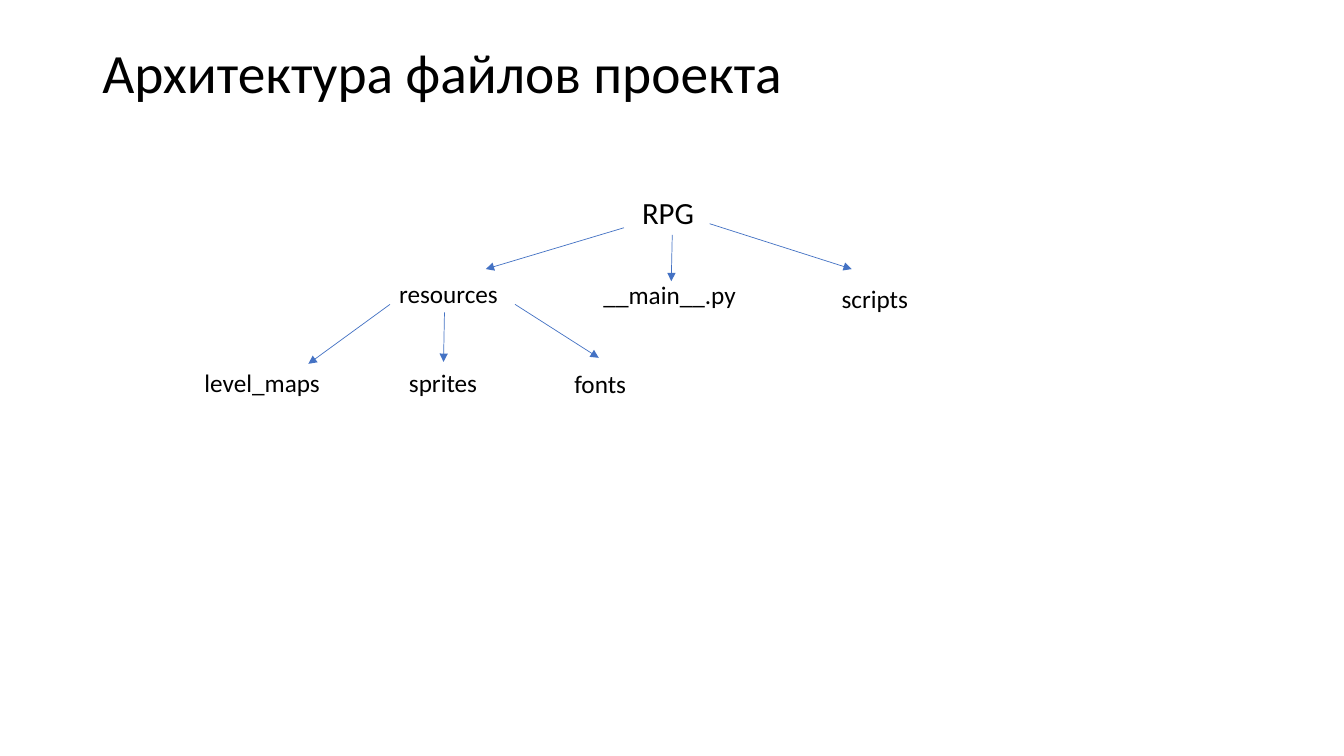
from lxml.etree import SubElement
from pptx import Presentation
from pptx.dml.color import RGBColor
from pptx.enum.shapes import MSO_CONNECTOR as Connector
from pptx.enum.text import MSO_ANCHOR as Anchor
from pptx.oxml.ns import qn
from pptx.util import Pt

FONT = "Calibri"
BLACK = "000000"
BLUE = "4472C4"

TITLE = ("Архитектура файлов проекта", 66, 28.8, 828, 96.5, 39.6)

ROOT = ("RPG", 451.5, 134.6, 57, 33.8, 22)
FILES = [
    ("resources", 278, 195, 88.6, 28.8),
    ("__main__.py", 424, 195.8, 111, 28.8),
    ("scripts", 594, 198.7, 63.4, 51),
    ("level_maps", 139, 258.5, 216, 51),
    ("sprites", 285, 258.5, 63.4, 28.8),
    ("fonts", 403.2, 259.2, 53.4, 28.8),
]
FILE_SIZE = 18

ARROWS = {
    "RPG": [
        (445.7, 162.7, 347, 192.2),
        (480.2, 167.8, 479.5, 200.9),
        (506.9, 159.8, 608.4, 192.2),
    ],
    "resources": [
        (278.6, 217.4, 220.3, 259.9),
        (317.5, 223.2, 316.8, 258.5),
        (367.9, 217.4, 427.7, 255.6),
    ],
}


def color(value):
    return RGBColor.from_string(value)


def add_label(slide, text, left, top, width, height, size):
    box = slide.shapes.add_textbox(Pt(left), Pt(top), Pt(width), Pt(height))
    frame = box.text_frame
    frame.word_wrap = True
    frame.vertical_anchor = Anchor.TOP
    paragraph = frame.paragraphs[0]
    paragraph.text = text
    paragraph.font.name = FONT
    paragraph.font.size = Pt(size)
    paragraph.font.color.rgb = color(BLACK)
    return paragraph


def add_arrow(slide, *ends):
    arrow = slide.shapes.add_connector(Connector.STRAIGHT, *map(Pt, ends))
    arrow.line.color.rgb = color(BLUE)
    arrow.line.width = Pt(0.5)
    SubElement(arrow.line._get_or_add_ln(), qn("a:tailEnd"), type="triangle")
    SubElement(arrow._element.spPr, qn("a:effectLst"))


presentation = Presentation()
presentation.slide_width = Pt(960)
presentation.slide_height = Pt(540)
slide = presentation.slides.add_slide(presentation.slide_layouts[6])

title = add_label(slide, *TITLE)
title.line_spacing = 0.9

add_label(slide, *ROOT)
for file in FILES:
    add_label(slide, *file, FILE_SIZE)

for arrows in ARROWS.values():
    for ends in arrows:
        add_arrow(slide, *ends)

presentation.save("out.pptx")
